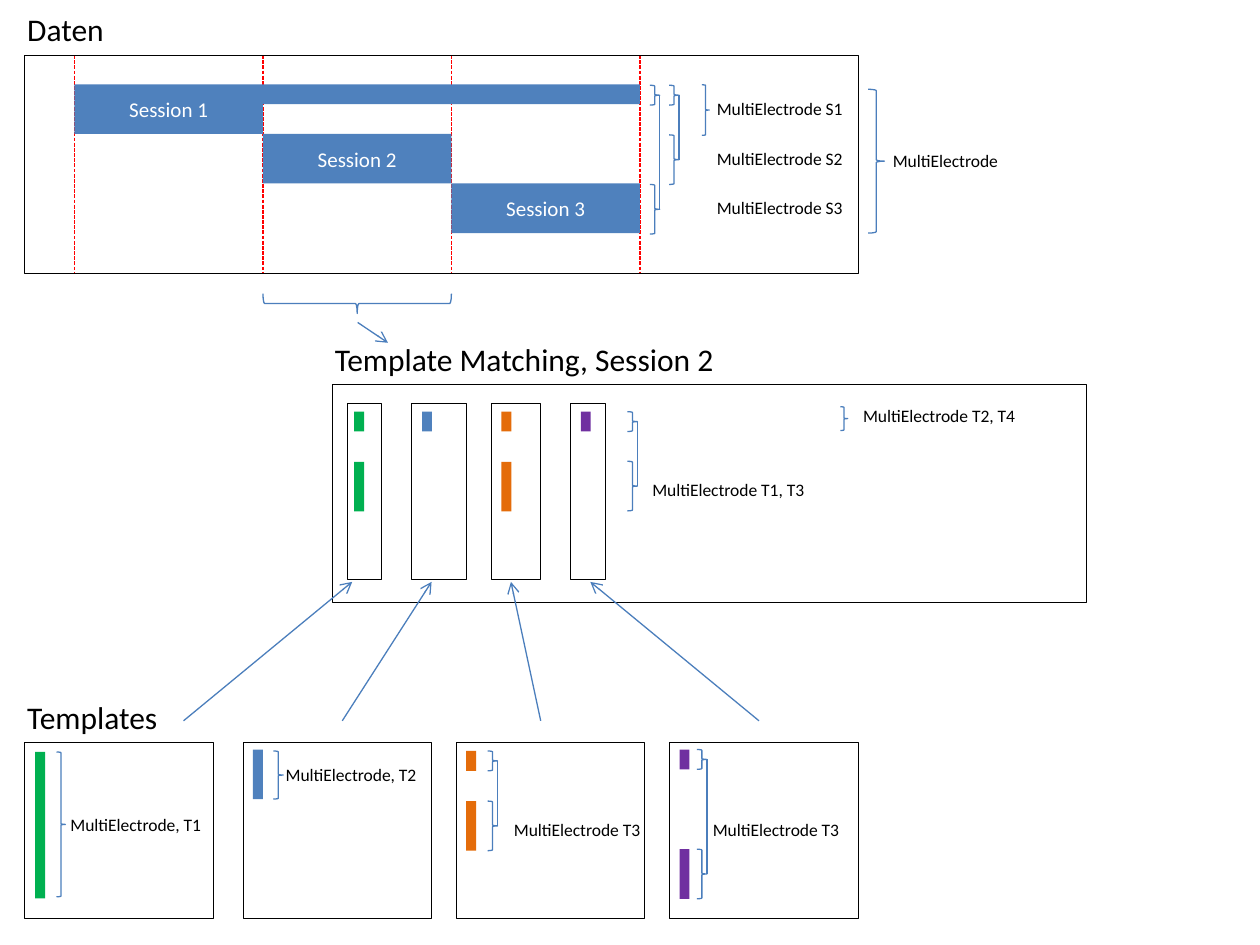
from lxml import etree
from pptx import Presentation, util as u
from pptx.dml.color import RGBColor
from pptx.enum import dml, shapes, text
from pptx.oxml import ns

BLACK, WHITE, RED = "000000", "FFFFFF", "FF0000"
BLUE, GREEN, ORANGE, PURPLE = "4F81BD", "00B050", "E46C0A", "7030A0"
STROKE = "4B7EBC"
COLUMNS, ROWS = 254, 190.5
SESSION_W, SESSION_H = 38, 10
SPIKE_W, SHORT, LONG = 2, 4, 10


def colour(hex_string):
    return RGBColor.from_string(hex_string)


class Diagram:
    """Draws on one slide, measured in grid columns and rows."""
    font = "Calibri"

    def __init__(self, deck):
        self.slide = deck.slides.add_slide(deck.slide_layouts[6])
        self.column = deck.slide_width / COLUMNS
        self.row = deck.slide_height / ROWS

    def place(self, x, y, w, h):
        return (round(x * self.column), round(y * self.row),
                round(w * self.column), round(h * self.row))

    def add_words(self, frame, words, size, ink):
        run = frame.paragraphs[0].add_run()
        run.text = words
        run.font.name, run.font.size = self.font, u.Pt(size)
        run.font.color.rgb = colour(ink)

    def label(self, words, x, y, w, size=10):
        box = self.slide.shapes.add_textbox(
            *self.place(x, y, w, 10.2 if size > 10 else 6.9))
        frame = box.text_frame
        frame.word_wrap = False
        frame.auto_size = text.MSO_AUTO_SIZE.SHAPE_TO_FIT_TEXT
        self.add_words(frame, words, size, BLACK)

    def heading(self, words, x, y, w):
        self.label(words, x, y, w, size=18)

    def shape(self, kind, x, y, w, h, fill=None, line=None, weight=0.75):
        item = self.slide.shapes.add_shape(kind, *self.place(x, y, w, h))
        item.shadow.inherit = False
        if fill:
            item.fill.solid()
            item.fill.fore_color.rgb = colour(fill)
        else:
            item.fill.background()
        if line:
            item.line.color.rgb = colour(line)
            item.line.width = u.Pt(weight)
        else:
            item.line.fill.background()
        return item

    def frame(self, x, y, w, h):
        self.shape(shapes.MSO_SHAPE.RECTANGLE, x, y, w, h, line=BLACK, weight=0.5)

    def bar(self, fill, x, y, w, h, words=None):
        item = self.shape(shapes.MSO_SHAPE.RECTANGLE, x, y, w, h, fill=fill)
        if words:
            item.text_frame.vertical_anchor = text.MSO_ANCHOR.MIDDLE
            item.text_frame.paragraphs[0].alignment = text.PP_ALIGN.CENTER
            self.add_words(item.text_frame, words, 12, WHITE)

    def brace(self, x, y, w, h, turn=0):
        item = self.shape(shapes.MSO_SHAPE.RIGHT_BRACE, x, y, w, h, line=STROKE)
        item.rotation = turn

    def line(self, x1, y1, x2, y2, ink=STROKE, dashed=False, arrow=False):
        item = self.slide.shapes.add_connector(
            shapes.MSO_CONNECTOR.STRAIGHT, *self.place(x1, y1, x2, y2))
        item.line.color.rgb = colour(ink)
        item.line.width = u.Pt(0.75)
        if dashed:
            item.line.dash_style = dml.MSO_LINE.SQUARE_DOT
        properties = item.element.spPr
        if arrow:
            etree.SubElement(properties.find(ns.qn("a:ln")), ns.qn("a:tailEnd"), type="arrow")
        etree.SubElement(properties, ns.qn("a:effectLst"))

    def linked_braces(self, x, upper, lower):
        self.brace(x, upper, 2, SHORT)
        self.brace(x, lower, 2, LONG)
        self.line(x + 2, upper + SHORT / 2, x + 2, lower + LONG / 2)


deck = Presentation()
deck.slide_width, deck.slide_height = u.Inches(10), u.Inches(7.5)
diagram = Diagram(deck)

# Data: overlapping sessions and their electrodes
diagram.heading("Daten", 3, 0.8, 20.8)
for boundary in range(4):
    x = 15 + boundary * SESSION_W
    diagram.line(x, 11.1, x, 55.2, RED, dashed=True)
for index in range(3):
    diagram.bar(BLUE, 15 + index * SESSION_W, 17 + index * SESSION_H,
                SESSION_W, SESSION_H, f"Session {index + 1}")
    diagram.label(f"MultiElectrode S{index + 1}", 142, 18.5 + index * SESSION_H, 31)
diagram.bar(BLUE, 53, 17, 2 * SESSION_W, SHORT)
diagram.brace(141.5, 17.1, 1.5, 10.2)
diagram.linked_braces(134.9, 17.2, 27.2)
diagram.linked_braces(131, 17.2, 37.2)
diagram.frame(5, 11.1, 168, 44)
diagram.brace(175, 18, 3.3, 29)
diagram.label("MultiElectrode", 177.5, 29, 27.4)

# Step from session 2 to its matching
diagram.brace(70, 42.2, 4, 38, turn=90)
diagram.line(72.1, 65, 78.2, 69.1, arrow=True)

# Template matching
diagram.heading("Template Matching, Session 2", 65, 67.3, 82.3)
diagram.frame(67, 77.5, 152, 44)
for x, width in ((70, 7), (83, 11), (99, 10), (115, 7)):
    diagram.frame(x, 81.3, width, 35.6)
for fill, x in ((GREEN, 71.4), (BLUE, 85.1), (ORANGE, 101.1), (PURPLE, 117.1)):
    diagram.bar(fill, x, 83, SPIKE_W, SHORT)
    if fill in (GREEN, ORANGE):
        diagram.bar(fill, x, 93.1, SPIKE_W, LONG)
diagram.linked_braces(126.5, 83, 93)
diagram.label("MultiElectrode T1, T3", 129, 95.3, 36.3)
diagram.brace(169.4, 82, 1.5, 4.8)
diagram.label("MultiElectrode T2, T4", 171.5, 80.5, 36.3)

# Arrows from templates to matches
for start, end in ((37, 71), (69, 87), (109, 103), (153, 119)):
    diagram.line(start, 145.3, end, 117.3, arrow=True)

# Templates
diagram.heading("Templates", 3, 139.4, 31.8)
for x in (5, 49, 92, 135):
    diagram.frame(x, 149.6, 38, 35.6)
for fill, x, y, height in (
        (GREEN, 7.1, 151.6, 29.5), (BLUE, 51, 151.1, LONG),
        (ORANGE, 94, 151.4, SHORT), (ORANGE, 94, 161.5, LONG),
        (PURPLE, 137, 151.1, SHORT), (PURPLE, 137, 171.2, LONG)):
    diagram.bar(fill, x, y, SPIKE_W, height)
diagram.brace(11.4, 151.6, 1.8, 29.2)
diagram.brace(55.1, 151.4, 2, 9.7)
diagram.linked_braces(98.3, 151.4, 161.5)
diagram.linked_braces(140.5, 151.1, 171.2)
for words, x, y, width in (
        ("MultiElectrode, T1", 11.7, 162.8, 32), ("MultiElectrode, T2", 55.1, 152.7, 32),
        ("MultiElectrode T3", 101.1, 163.8, 31), ("MultiElectrode T3", 141.2, 163.8, 31)):
    diagram.label(words, x, y, width)

deck.save("out.pptx")
